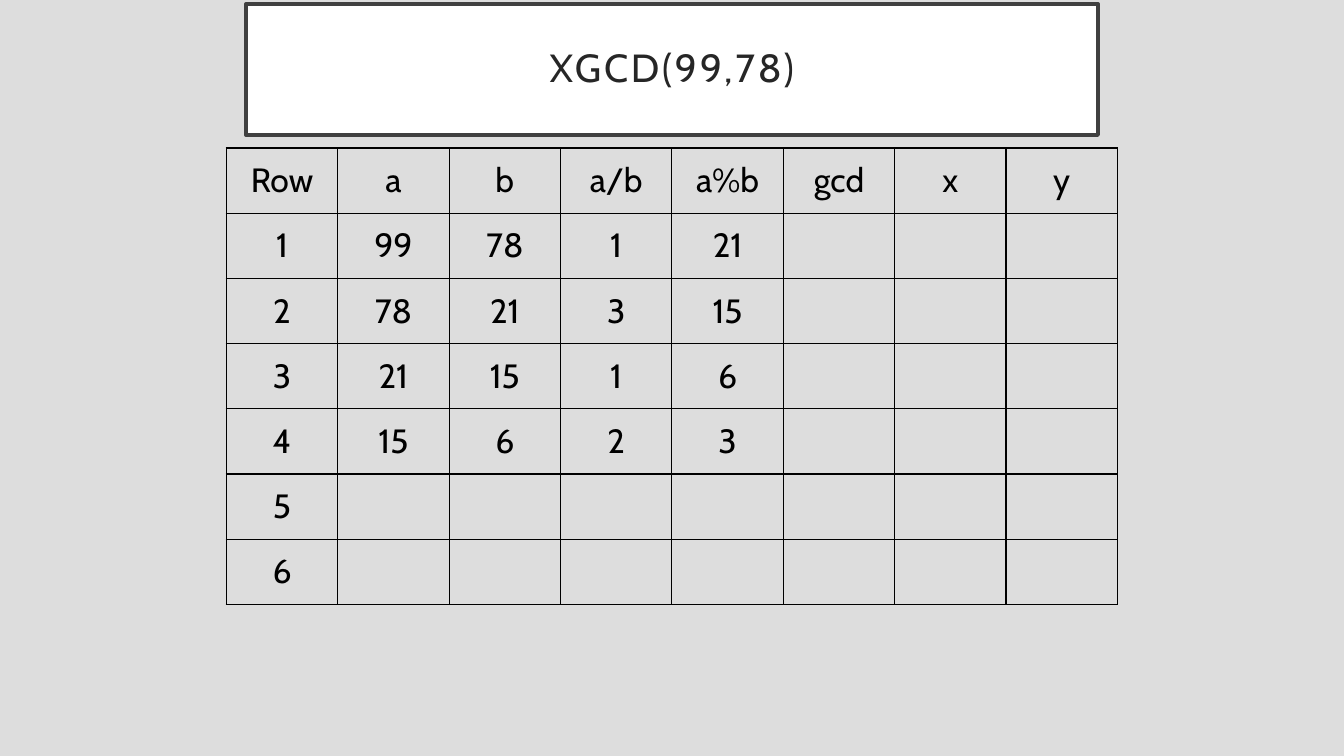
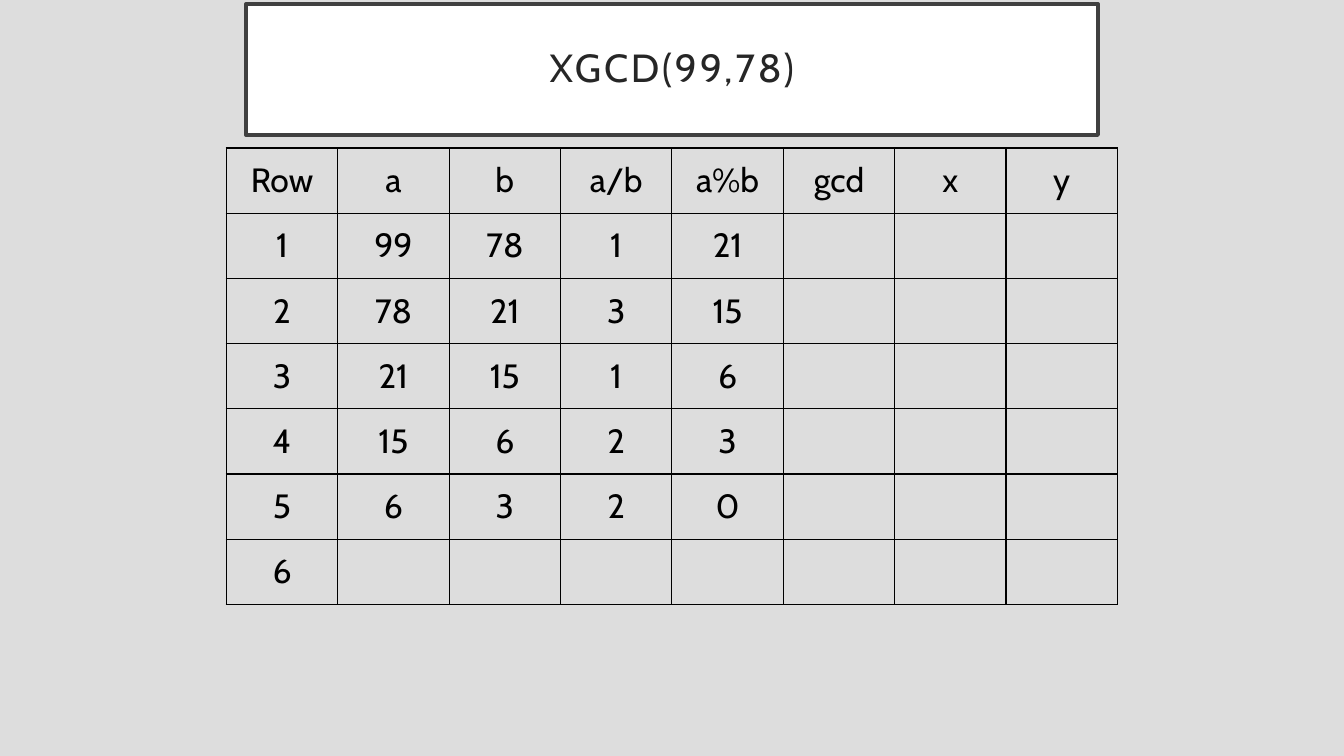
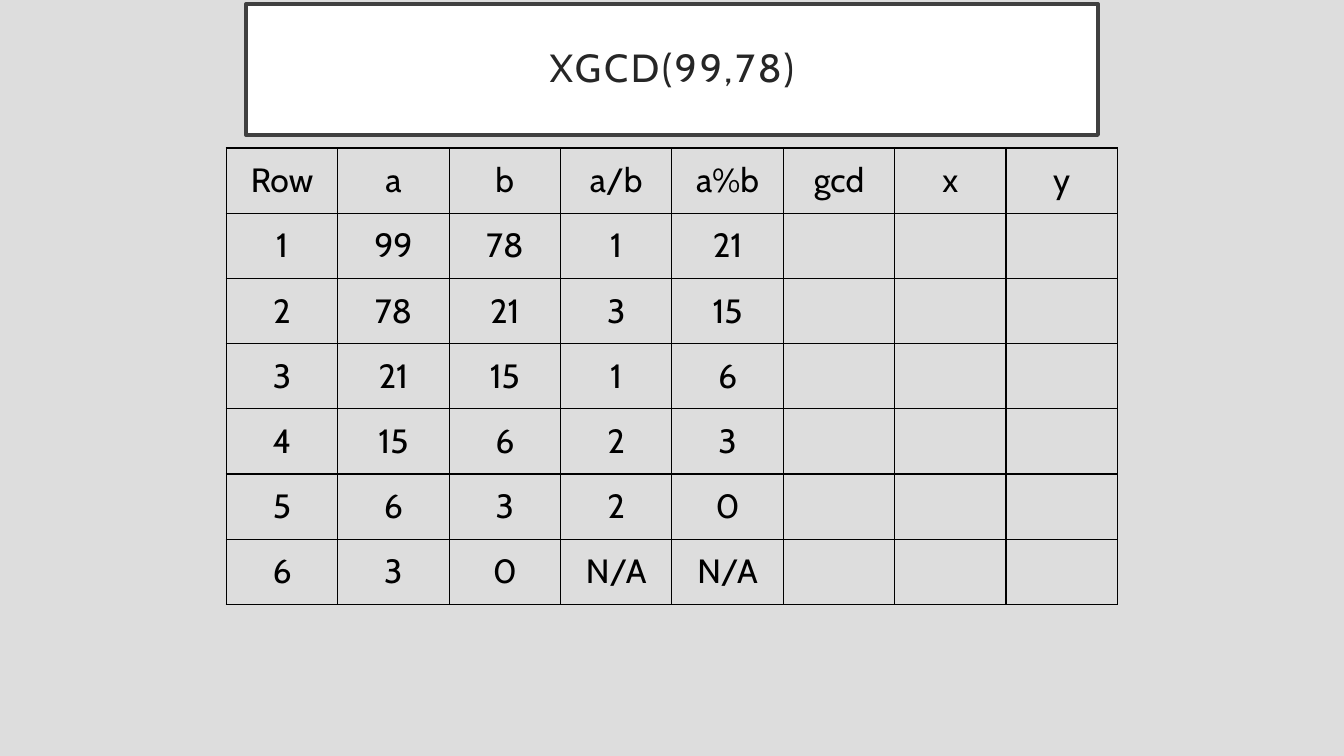
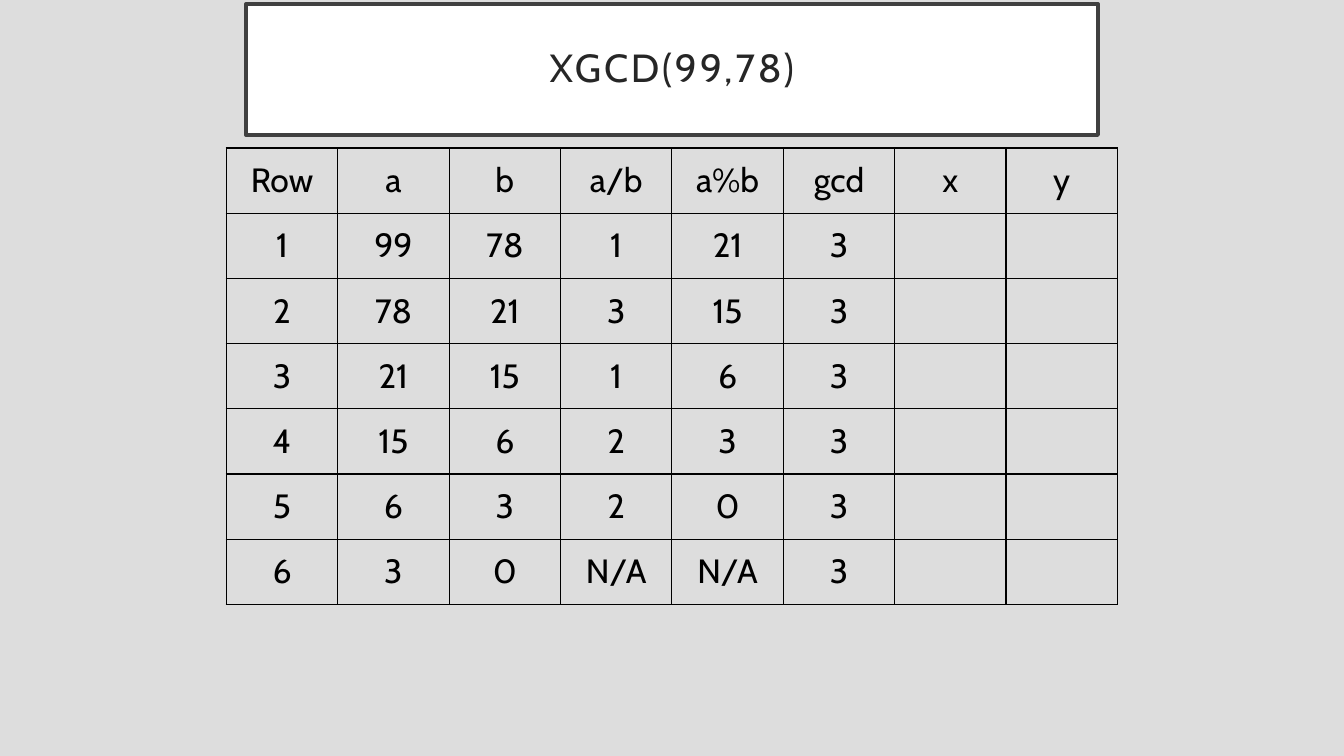
"""Build four slides that fill in an extended Euclid table step by step."""
from lxml.etree import SubElement
from pptx import Presentation
from pptx.dml.color import RGBColor
from pptx.enum.shapes import MSO_SHAPE
from pptx.enum.text import MSO_ANCHOR, PP_ALIGN
from pptx.oxml.ns import qn
from pptx.util import Inches, Pt

COLORS = {
    "background": "DDDDDD",
    "panel": "FFFFFF",
    "frame": "404040",
    "title": "262626",
    "table": "000000",
}
TITLE_FONT = {"name": "Cabin", "size": Pt(28), "bold": False}
CELL_FONT = {"name": "Cabin", "size": Pt(24), "bold": False}
TITLE_PARA = {"alignment": PP_ALIGN.CENTER, "line_spacing": 0.9}
CELL_PARA = {"alignment": PP_ALIGN.CENTER}
TITLE_FRAME = {
    "word_wrap": True,
    "vertical_anchor": MSO_ANCHOR.MIDDLE,
    "margin_left": Inches(0.2),
    "margin_right": Inches(0.2),
    "margin_top": Inches(0.2),
    "margin_bottom": Inches(0.2),
}

SLIDE_WIDTH, SLIDE_HEIGHT = Inches(13.33), Inches(7.5)
COLUMN, ROW = Inches(8.84) // 8, Inches(4.53) // 7

TITLE = "XGCD(99,78)"
HEADERS = ["Row", "a", "b", "a/b", "a%b", "gcd", "x", "y"]
DIVISIONS = [
    ["99", "78", "1", "21"],
    ["78", "21", "3", "15"],
    ["21", "15", "1", "6"],
    ["15", "6", "2", "3"],
    ["6", "3", "2", "0"],
    ["3", "0", "N/A", "N/A"],
]
STAGES = [(4, ""), (5, ""), (6, ""), (6, "3")]


def color(name):
    """Return a named colour."""
    return RGBColor.from_string(COLORS[name])


def apply_format(target, values):
    """Set each format value on the target."""
    for name, value in values.items():
        setattr(target, name, value)


def centred_box(columns, rows, top):
    """Return left, top, width and height of a centred grid area."""
    width = int(columns * COLUMN)
    return (SLIDE_WIDTH - width) // 2, int(top * ROW), width, int(rows * ROW)


def write_text(para, text, para_format, font_format, color_name):
    """Write one formatted run and return it."""
    apply_format(para, para_format)
    span = para.add_run()
    span.text = text
    apply_format(span.font, font_format)
    span.font.color.rgb = color(color_name)
    return span


def add_title(page, text):
    """Add the framed title panel."""
    panel = page.shapes.add_shape(MSO_SHAPE.RECTANGLE, *centred_box(7.65, 2.01, 0.06))
    panel.shadow.inherit = False
    panel.fill.solid()
    panel.fill.fore_color.rgb = color("panel")
    panel.line.color.rgb = color("frame")
    panel.line.width = Pt(2.5)
    apply_format(panel.text_frame, TITLE_FRAME)
    para = panel.text_frame.paragraphs[0]
    span = write_text(para, text, TITLE_PARA, TITLE_FONT, "title")
    span.font._element.set("spc", "200")


def add_borders(cell):
    """Draw a thin line on all sides of a cell."""
    properties = cell._tc.get_or_add_tcPr()
    for side in ("a:lnL", "a:lnR", "a:lnT", "a:lnB"):
        line = SubElement(properties, qn(side), w=str(Pt(1)))
        fill = SubElement(line, qn("a:solidFill"))
        SubElement(fill, qn("a:srgbClr"), val=COLORS["table"])


def add_grid(page, rows):
    """Add a bordered table without fill."""
    box = centred_box(len(rows[0]), len(rows), 2.27)
    table = page.shapes.add_table(len(rows), len(rows[0]), *box).table
    apply_format(table, {"first_row": False, "horz_banding": False})
    for column in table.columns:
        column.width = COLUMN
    for row, texts in zip(table.rows, rows):
        row.height = ROW
        for cell, text in zip(row.cells, texts):
            add_borders(cell)
            cell.fill.background()
            cell.vertical_anchor = MSO_ANCHOR.MIDDLE
            if text:
                para = cell.text_frame.paragraphs[0]
                write_text(para, text, CELL_PARA, CELL_FONT, "table")


def stage_rows(solved, divisor):
    """Return the table texts with the first rows solved."""
    rows = [HEADERS]
    for number, division in enumerate(DIVISIONS, 1):
        values = division if number <= solved else [""] * len(division)
        rows.append([str(number), *values, divisor, "", ""])
    return rows


def main():
    """Build and save the deck."""
    deck = Presentation()
    apply_format(deck, {"slide_width": SLIDE_WIDTH, "slide_height": SLIDE_HEIGHT})
    backdrop = deck.slide_master.background.fill
    backdrop.solid()
    backdrop.fore_color.rgb = color("background")
    for solved, divisor in STAGES:
        page = deck.slides.add_slide(deck.slide_layouts[6])
        add_grid(page, stage_rows(solved, divisor))
        add_title(page, TITLE)
    deck.save("out.pptx")


if __name__ == "__main__":
    main()
